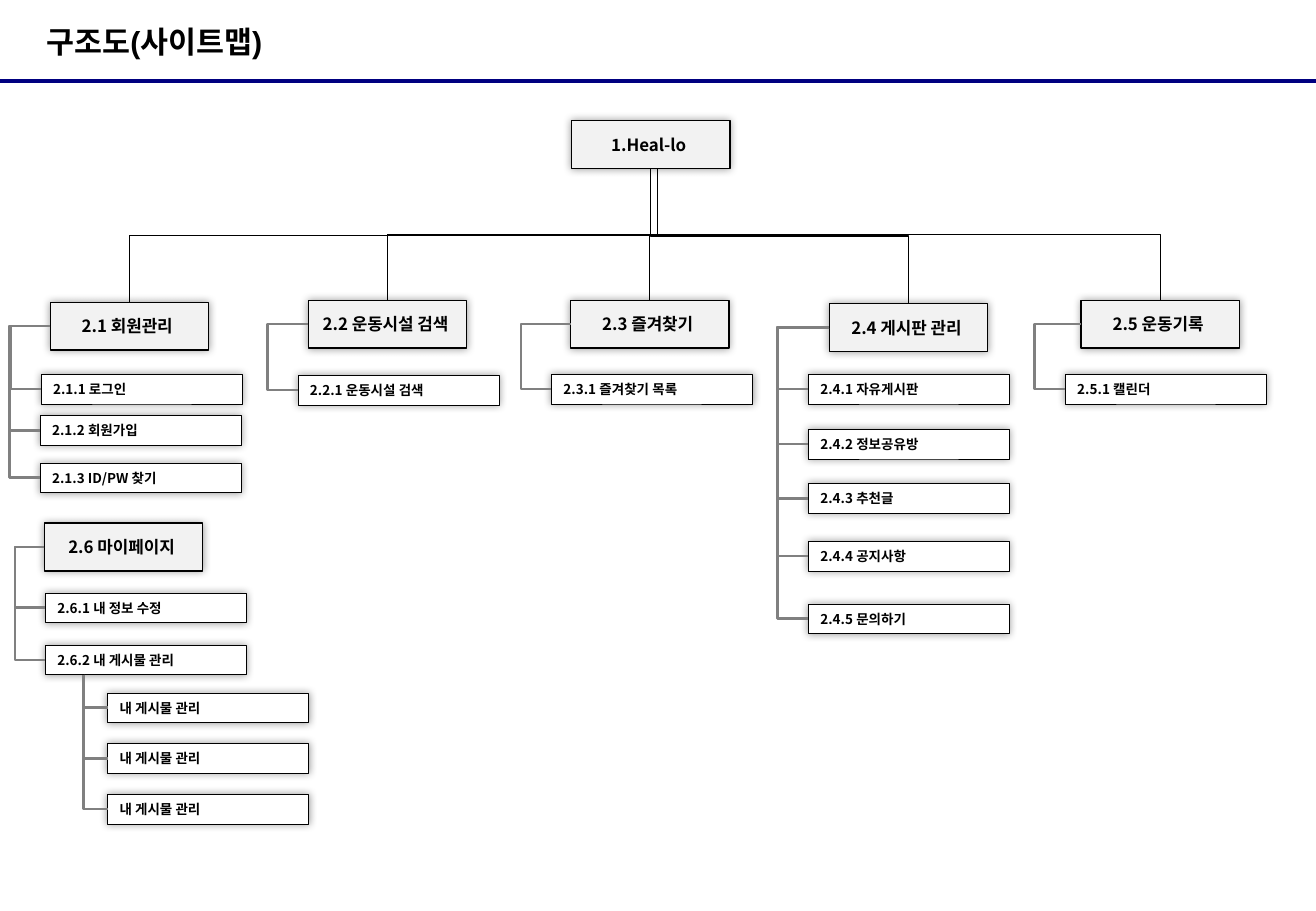
from dataclasses import dataclass

from lxml.etree import SubElement
from pptx import Presentation
from pptx.dml.color import RGBColor
from pptx.enum.shapes import MSO_CONNECTOR as Connector, MSO_SHAPE as Preset
from pptx.enum.text import MSO_ANCHOR as Anchor, MSO_AUTO_SIZE as AutoSize, PP_ALIGN as Align
from pptx.oxml.ns import qn
from pptx.shapes.autoshape import Shape
from pptx.shapes.connector import Connector as ConnectorShape
from pptx.slide import Slide
from pptx.util import Cm, Length, Pt

TOP, LEFT, BOTTOM = 0, 1, 2
ELBOW_REACH = Cm(0.64)
SLIDE_WIDTH, SLIDE_HEIGHT = Cm(27.51), Cm(19.05)


@dataclass(frozen=True)
class Theme:
    ink: RGBColor = RGBColor(0x00, 0x00, 0x00)
    rule: RGBColor = RGBColor(0x00, 0x00, 0x80)
    branch: RGBColor = RGBColor(0x80, 0x80, 0x80)
    section_fill: RGBColor = RGBColor(0xF2, 0xF2, 0xF2)
    page_fill: RGBColor = RGBColor(0xFF, 0xFF, 0xFF)
    title_font: str = "Arial"
    body_font: str = "Noto Sans CJK KR"
    title_size: Length = Pt(18)
    section_size: Length = Pt(10)
    page_size: Length = Pt(8)


@dataclass(frozen=True)
class BoxStyle:
    width: Length
    height: Length
    fill: RGBColor
    line_width: Length
    font_size: Length
    align: Align
    margin_left: Length


@dataclass(frozen=True)
class Box:
    text: str
    left: float
    top: float


@dataclass(frozen=True)
class Section:
    head: Box
    pages: tuple[Box, ...]


THEME = Theme()
SECTION_STYLE = BoxStyle(Cm(3.31), Cm(1), THEME.section_fill, Pt(0.75),
                         THEME.section_size, Align.CENTER, Cm(0.16))
PAGE_STYLE = BoxStyle(Cm(4.2), Cm(0.62), THEME.page_fill, Pt(0.25),
                      THEME.page_size, Align.LEFT, Cm(0.25))

ROOT = Box("1.Heal-lo", 11.95, 2.52)
MAIN_SECTIONS = (
    Section(Box("2.1 회원관리", 1.05, 6.32), (
        Box("2.1.1 로그인", 0.86, 7.83),
        Box("2.1.2 회원가입", 0.84, 8.69),
        Box("2.1.3 ID/PW 찾기", 0.84, 9.68))),
    Section(Box("2.2 운동시설 검색", 6.45, 6.28), (
        Box("2.2.1 운동시설 검색", 6.23, 7.85),)),
    Section(Box("2.3 즐겨찾기", 11.93, 6.28), (
        Box("2.3.1 즐겨찾기 목록", 11.53, 7.83),)),
    Section(Box("2.4 게시판 관리", 17.34, 6.35), (
        Box("2.4.1 자유게시판", 16.9, 7.83),
        Box("2.4.2 정보공유방", 16.9, 8.98),
        Box("2.4.3 추천글", 16.9, 10.11),
        Box("2.4.4 공지사항", 16.9, 11.32),
        Box("2.4.5 문의하기", 16.9, 12.63))),
    Section(Box("2.5 운동기록", 22.6, 6.28), (
        Box("2.5.1 캘린더", 22.27, 7.83),)),
)
MY_PAGE = Section(Box("2.6 마이페이지", 0.93, 10.94), (
    Box("2.6.1 내 정보 수정", 0.95, 12.4),
    Box("2.6.2 내 게시물 관리", 0.95, 13.49)))
MY_POSTS = tuple(Box("내 게시물 관리", 2.25, 14.49 + 1.06 * row) for row in range(3))


def add_text(shape: Shape, text: str, font: str, size: Length, align: Align) -> None:
    frame = shape.text_frame
    frame.word_wrap = True
    frame.vertical_anchor = Anchor.MIDDLE
    paragraph = frame.paragraphs[0]
    paragraph.alignment = align
    run = paragraph.add_run()
    run.text = text
    run.font.size = size
    run.font.bold = True
    run.font.color.rgb = THEME.ink
    run.font.name = font
    SubElement(run.font._element, qn("a:ea"), typeface=THEME.body_font)


def add_glow(shape: Shape) -> None:
    """Give the shape a soft, centred black shadow."""
    shape.shadow.inherit = False
    effects = shape._element.spPr.find(qn("a:effectLst"))
    shadow = SubElement(effects, qn("a:outerShdw"), blurRad=str(Pt(5)), dist="0", dir="0",
                        algn="ctr", rotWithShape="0")
    color = SubElement(shadow, qn("a:srgbClr"), val=str(THEME.ink))
    SubElement(color, qn("a:alpha"), val="40000")


def add_box(slide: Slide, box: Box, style: BoxStyle) -> Shape:
    shape = slide.shapes.add_shape(Preset.RECTANGLE, Cm(box.left), Cm(box.top),
                                   style.width, style.height)
    shape.fill.solid()
    shape.fill.fore_color.rgb = style.fill
    shape.line.color.rgb = THEME.ink
    shape.line.width = style.line_width
    add_glow(shape)
    shape.text_frame.margin_left = style.margin_left
    add_text(shape, box.text, THEME.body_font, style.font_size, style.align)
    return shape


def add_line(slide: Slide, kind: Connector, start: tuple[int, int], end: tuple[int, int],
             color: RGBColor, width: Length) -> ConnectorShape:
    connector = slide.shapes.add_connector(kind, *start, *end)
    connector.line.color.rgb = color
    connector.line.width = width
    SubElement(connector._element.spPr, qn("a:effectLst"))
    return connector


def left_middle(shape: Shape) -> tuple[int, int]:
    return shape.left, shape.top + shape.height // 2


def add_side_elbow(slide: Slide, head: Shape, page: Shape) -> None:
    """Join the left sides of two boxes around a spine left of the page."""
    start, end = left_middle(head), left_middle(page)
    connector = add_line(slide, Connector.ELBOW, start, end, THEME.branch, Pt(1.5))
    connector.begin_connect(head, LEFT)
    connector.end_connect(page, LEFT)
    bend = (end[0] - ELBOW_REACH - start[0]) / (end[0] - start[0])
    guides = connector._element.spPr.find(qn("a:prstGeom")).get_or_add_avLst()
    SubElement(guides, qn("a:gd"), name="adj1", fmla=f"val {round(bend * 100000)}")


def turn_downward(connector: ConnectorShape, start: tuple[int, int],
                  end: tuple[int, int]) -> None:
    """Rotate an elbow so that it leaves its start downward."""
    across, down = end[0] - start[0], end[1] - start[1]
    connector.width, connector.height = down, abs(across)
    connector.left = (start[0] + end[0] - down) // 2
    connector.top = (start[1] + end[1] - abs(across)) // 2
    transform = connector._element.spPr.find(qn("a:xfrm"))
    for flip in ("flipH", "flipV"):
        transform.attrib.pop(flip, None)
    transform.set("rot", str((270 if across > 0 else 90) * 60000))
    if across > 0:
        transform.set("flipH", "1")


def add_trunk_elbow(slide: Slide, root: Shape, head: Shape, shift: Length) -> None:
    start = (root.left + root.width // 2 + shift, root.top + root.height)
    end = (head.left + head.width // 2, head.top)
    connector = add_line(slide, Connector.ELBOW, start, end, THEME.ink, Pt(0.75))
    if not shift:
        connector.begin_connect(root, BOTTOM)
    connector.end_connect(head, TOP)
    turn_downward(connector, start, end)


def add_corner_elbow(slide: Slide, parent: Shape, child: Shape) -> None:
    start = (parent.left + Cm(0.8), parent.top + parent.height)
    end = left_middle(child)
    connector = add_line(slide, Connector.ELBOW, start, end, THEME.branch, Pt(1.5))
    connector.end_connect(child, LEFT)
    connector._element.spPr.find(qn("a:prstGeom")).set("prst", "bentConnector2")
    turn_downward(connector, start, end)


def add_section(slide: Slide, section: Section) -> tuple[Shape, list[Shape]]:
    head = add_box(slide, section.head, SECTION_STYLE)
    pages = [add_box(slide, page, PAGE_STYLE) for page in section.pages]
    for page in pages:
        add_side_elbow(slide, head, page)
    return head, pages


def add_title(slide: Slide, text: str) -> None:
    title = slide.shapes.title
    title.left, title.top, title.width, title.height = Cm(0.97), Cm(0), Cm(17.98), Cm(1.73)
    frame = title.text_frame
    frame.auto_size = AutoSize.NONE
    frame.margin_left = frame.margin_right = frame.margin_top = frame.margin_bottom = 0
    add_text(title, text, THEME.title_font, THEME.title_size, Align.LEFT)


def main() -> None:
    presentation = Presentation()
    presentation.slide_width, presentation.slide_height = SLIDE_WIDTH, SLIDE_HEIGHT
    slide = presentation.slides.add_slide(presentation.slide_layouts[5])
    add_title(slide, "구조도(사이트맵)")
    add_line(slide, Connector.STRAIGHT, (0, Cm(1.7)), (SLIDE_WIDTH, Cm(1.7)),
             THEME.rule, Pt(2.25))
    root = add_box(slide, ROOT, SECTION_STYLE)
    for index, section in enumerate(MAIN_SECTIONS):
        head, _ = add_section(slide, section)
        add_trunk_elbow(slide, root, head, Cm(0.14 if index == 1 else 0))
    _, my_pages = add_section(slide, MY_PAGE)
    for post in MY_POSTS:
        add_corner_elbow(slide, my_pages[-1], add_box(slide, post, PAGE_STYLE))
    presentation.save("out.pptx")


if __name__ == "__main__":
    main()
